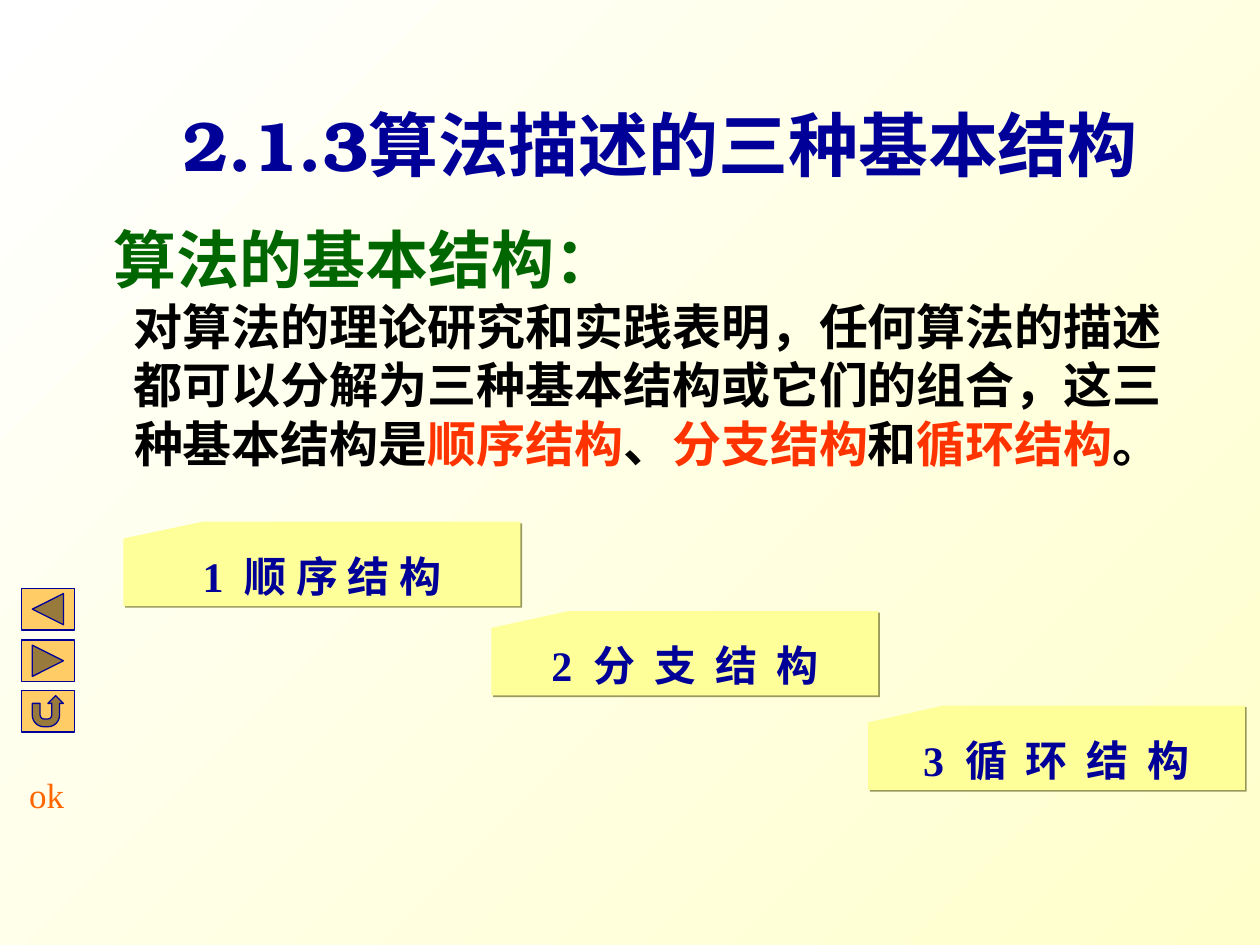
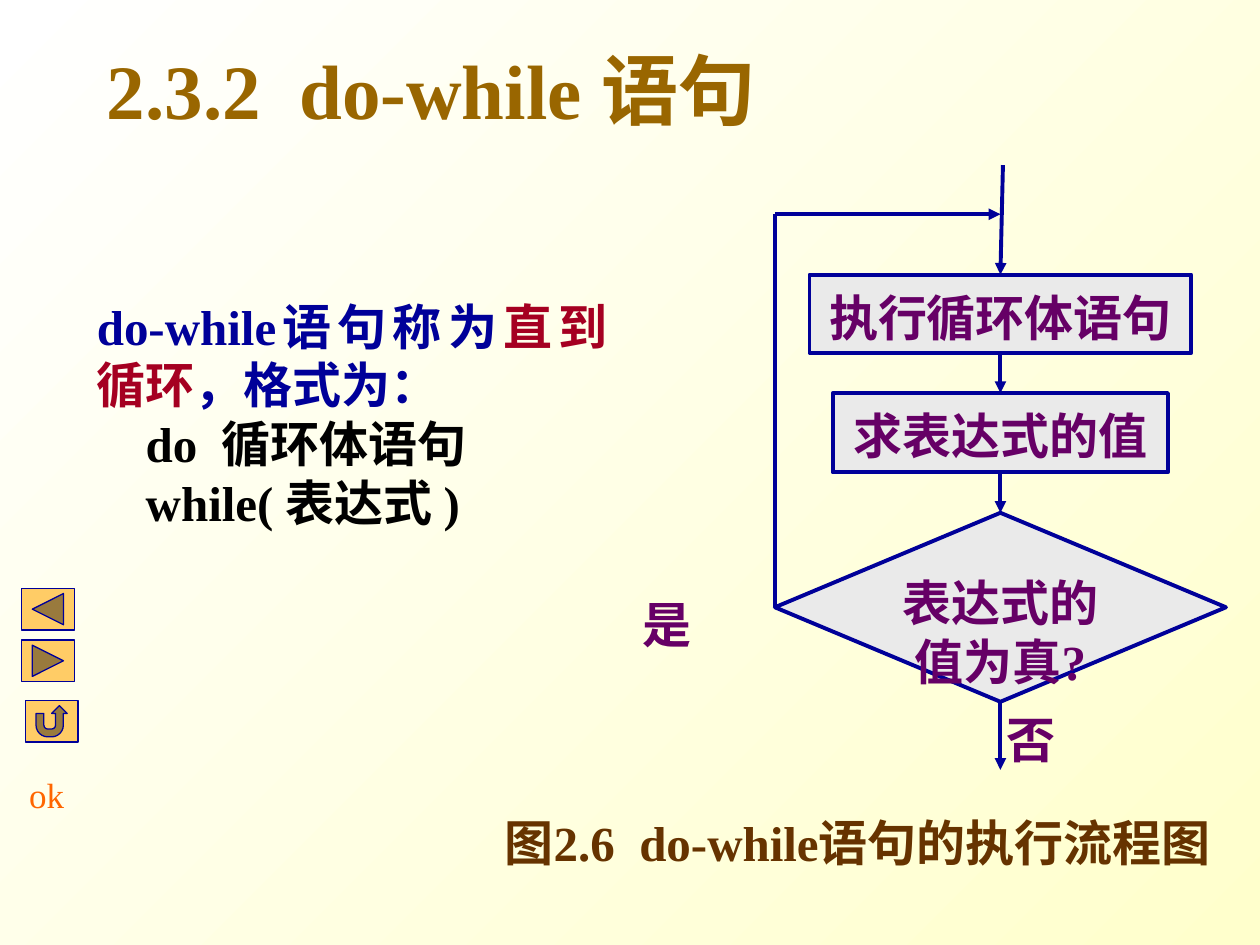
from collections import namedtuple

from lxml.etree import SubElement
from pptx import Presentation
from pptx.dml.color import RGBColor
from pptx.enum.shapes import MSO_CONNECTOR as Connector, MSO_SHAPE as Shape
from pptx.enum.text import MSO_ANCHOR as Anchor, PP_ALIGN as Align
from pptx.oxml.ns import qn
from pptx.util import Inches, Pt

SERIF = "Times New Roman"
SANS = "Noto Sans CJK SC"
TITLE_FONT = "TeX Gyre Bonum"
NAVY, PURPLE, BLACK = "000099", "660066", "000000"
GREEN, RED, CRIMSON = "006600", "FF3300", "A50021"
GOLD, BROWN, ORANGE = "996600", "663300", "FF6600"
BUTTON_FILL, CARD_FILL, NODE_FILL = "FFCC66", "FFFF99", "EAEAEA"
CARD_SHADOW = "99995C"
LINE_HEIGHT = 1.2
FLOW_AXIS = 7.94

Run = namedtuple("Run", "text color spacing", defaults=(None, 0))


def rgb(color):
    return RGBColor.from_string(color)


def write(paragraph, runs, size, color, font=SERIF, align=Align.LEFT, bold=True):
    paragraph.alignment = align
    paragraph.line_spacing = Pt(size * LINE_HEIGHT)
    paragraph.font.size = Pt(size)
    paragraph.font.bold = bold
    paragraph.font.name = font
    paragraph.font.color.rgb = rgb(color)
    SubElement(paragraph.font._element, qn("a:ea"), typeface=SANS)
    for part in runs:
        run = paragraph.add_run()
        run.text = part.text
        if part.color:
            run.font.color.rgb = rgb(part.color)
        if part.spacing:
            run.font._element.set("spc", str(round(part.spacing * 100)))


def set_frame(frame, anchor=Anchor.TOP, wrap=True):
    frame.word_wrap = wrap
    frame.vertical_anchor = anchor
    frame.margin_left = frame.margin_right = frame.margin_top = Inches(0.1)
    frame.margin_bottom = Inches(0.05)


def add_text(slide, box, runs, size, color, anchor=Anchor.TOP, **style):
    frame = slide.shapes.add_textbox(*map(Inches, box)).text_frame
    set_frame(frame, anchor)
    write(frame.paragraphs[0], runs, size, color, **style)
    return frame


def add_title(slide, box, runs, size, color, **style):
    add_text(slide, box, runs, size, color, Anchor.MIDDLE, **style)


def add_filled_shape(slide, kind, box, fill, line_width=0):
    shape = slide.shapes.add_shape(kind, *map(Inches, box))
    shape.fill.solid()
    shape.fill.fore_color.rgb = rgb(fill)
    if line_width:
        shape.line.color.rgb = rgb(NAVY)
        shape.line.width = Pt(line_width)
    else:
        shape.line.fill.background()
    shape.shadow.inherit = False
    return shape


def add_button(slide, kind, left, top):
    add_filled_shape(slide, kind, (left, top, 0.42, 0.33), BUTTON_FILL, 0.75)


def add_card(slide, box, number, name, spacing=0):
    card = add_filled_shape(slide, Shape.FLOWCHART_CARD, box, CARD_FILL)
    effects = card._element.spPr.find(qn("a:effectLst"))
    shadow = SubElement(effects, qn("a:outerShdw"), dist=str(Pt(1.4)),
                        dir="2700000", algn="ctr", rotWithShape="0")
    SubElement(shadow, qn("a:srgbClr"), val=CARD_SHADOW)
    set_frame(card.text_frame, Anchor.MIDDLE, wrap=False)
    write(card.text_frame.paragraphs[0],
          [Run(f"{number} ", spacing=3), Run(name, spacing=spacing)],
          24, NAVY, align=Align.CENTER)


def add_node(slide, kind, top, width, height, lines):
    box = (FLOW_AXIS - width / 2, top, width, height)
    node = add_filled_shape(slide, kind, box, NODE_FILL, 2.25)
    frame = node.text_frame
    set_frame(frame)
    for index, line in enumerate(lines):
        paragraph = frame.add_paragraph() if index else frame.paragraphs[0]
        write(paragraph, [Run(line)], 28, PURPLE, align=Align.CENTER)
    return node


def add_line(slide, start, end, begin=None, finish=None, arrow=True):
    line = slide.shapes.add_connector(Connector.STRAIGHT, *map(Inches, start + end))
    line.line.color.rgb = rgb(NAVY)
    line.line.width = Pt(2.25)
    if arrow:
        SubElement(line.line._get_or_add_ln(), qn("a:tailEnd"), type="triangle")
    SubElement(line._element.spPr, qn("a:effectLst"))
    if begin:
        line.begin_connect(*begin)
    if finish:
        line.end_connect(*finish)


def add_base_slide(presentation):
    slide = presentation.slides.add_slide(presentation.slide_layouts[6])
    fill = slide.background.fill
    fill.gradient()
    fill.gradient_angle = 315
    for stop, position, color in zip(fill.gradient_stops, (0, 1), ("FFFFFF", "FFFFCC")):
        stop.position = position
        stop.color.rgb = rgb(color)
    add_button(slide, Shape.ACTION_BUTTON_BACK_OR_PREVIOUS, 0.17, 4.67)
    add_button(slide, Shape.ACTION_BUTTON_FORWARD_OR_NEXT, 0.17, 5.08)
    add_text(slide, (0.08, 6.04, 0.58, 0.44), [Run("ok")], 20, ORANGE,
             align=Align.CENTER, bold=False)
    return slide


def build_structures_slide(presentation):
    slide = add_base_slide(presentation)
    add_title(slide, (0.98, 0.68, 8.52, 0.87), [Run("2.1.3算法描述的三种基本结构")],
              40, NAVY, font=TITLE_FONT, align=Align.CENTER)
    add_card(slide, (6.89, 5.6, 2.99, 0.67), 3, "循 环 结 构", 2.7)
    add_card(slide, (0.98, 4.14, 3.15, 0.67), 1, "顺 序 结 构")
    add_card(slide, (3.9, 4.85, 3.07, 0.67), 2, "分 支 结 构", 2.7)
    add_button(slide, Shape.ACTION_BUTTON_RETURN, 0.17, 5.48)
    frame = add_text(slide, (0.9, 1.75, 8.58, 2), [Run("算法的基本结构：")],
                     36, GREEN, font=SANS)
    frame.margin_left = frame.margin_top = frame.margin_bottom = 0
    write(frame.add_paragraph(), [
        Run("对算法的理论研究和实践表明，任何算法的描述都可以分解为三种基本结构"
            "或它们的组合，这三种基本结构是"),
        Run("顺序结构", RED), Run("、"), Run("分支结构", RED),
        Run("和"), Run("循环结构", RED), Run("。"),
    ], 28, BLACK, font=SANS, align=Align.CENTER)


def add_flowchart(slide):
    body = add_node(slide, Shape.RECTANGLE, 2.18, 3.03, 0.62, ["执行循环体语句"])
    value = add_node(slide, Shape.RECTANGLE, 3.12, 2.66, 0.63, ["求表达式的值"])
    test = add_node(slide, Shape.FLOWCHART_DECISION, 4.07, 3.58, 1.5,
                    ["表达式的", "值为真?"])
    loop_corner = (6.15, 1.7)
    add_line(slide, (7.96, 1.31), (FLOW_AXIS, 2.18), finish=(body, 0))
    add_line(slide, (FLOW_AXIS, 2.8), (FLOW_AXIS, 3.12), (body, 2), (value, 0))
    add_line(slide, (FLOW_AXIS, 3.75), (FLOW_AXIS, 4.07), (value, 2), (test, 0))
    add_line(slide, (FLOW_AXIS, 5.57), (FLOW_AXIS, 6.11), (test, 2))
    add_line(slide, (6.15, 4.82), loop_corner, (test, 1), arrow=False)
    add_line(slide, loop_corner, (FLOW_AXIS, 1.7))
    add_text(slide, (7.89, 5.53, 0.55, 0.58), [Run("否")], 28, PURPLE)
    add_text(slide, (5, 4.62, 0.58, 0.71), [Run("是")], 28, PURPLE)


def build_do_while_slide(presentation):
    slide = add_base_slide(presentation)
    add_title(slide, (0.75, 0.21, 6, 0.94),
              [Run("2.3.2"), Run(" ", spacing=11), Run("do-while 语句")], 44, GOLD)
    frame = add_text(slide, (0.67, 2.25, 4.25, 1.97), [
        Run("do-while语句称为"), Run("直到循环", CRIMSON), Run("，格式为："),
    ], 28, NAVY, align=Align.JUSTIFY)
    code_lines = (
        [Run("    do"), Run(" ", spacing=7), Run("循环体语句")],
        [Run("    while( 表达式 )")],
    )
    for runs in code_lines:
        write(frame.add_paragraph(), runs, 28, BLACK)
    add_flowchart(slide)
    add_text(slide, (3.72, 6.35, 6.17, 0.66),
             [Run("图2.6"), Run(" ", spacing=7), Run("do-while语句的执行流程图")],
             28, BROWN, align=Align.CENTER)
    add_button(slide, Shape.ACTION_BUTTON_RETURN, 0.2, 5.56)


def main():
    presentation = Presentation()
    presentation.slide_width = Inches(10)
    presentation.slide_height = Inches(7.5)
    build_structures_slide(presentation)
    build_do_while_slide(presentation)
    presentation.save("out.pptx")


if __name__ == "__main__":
    main()
